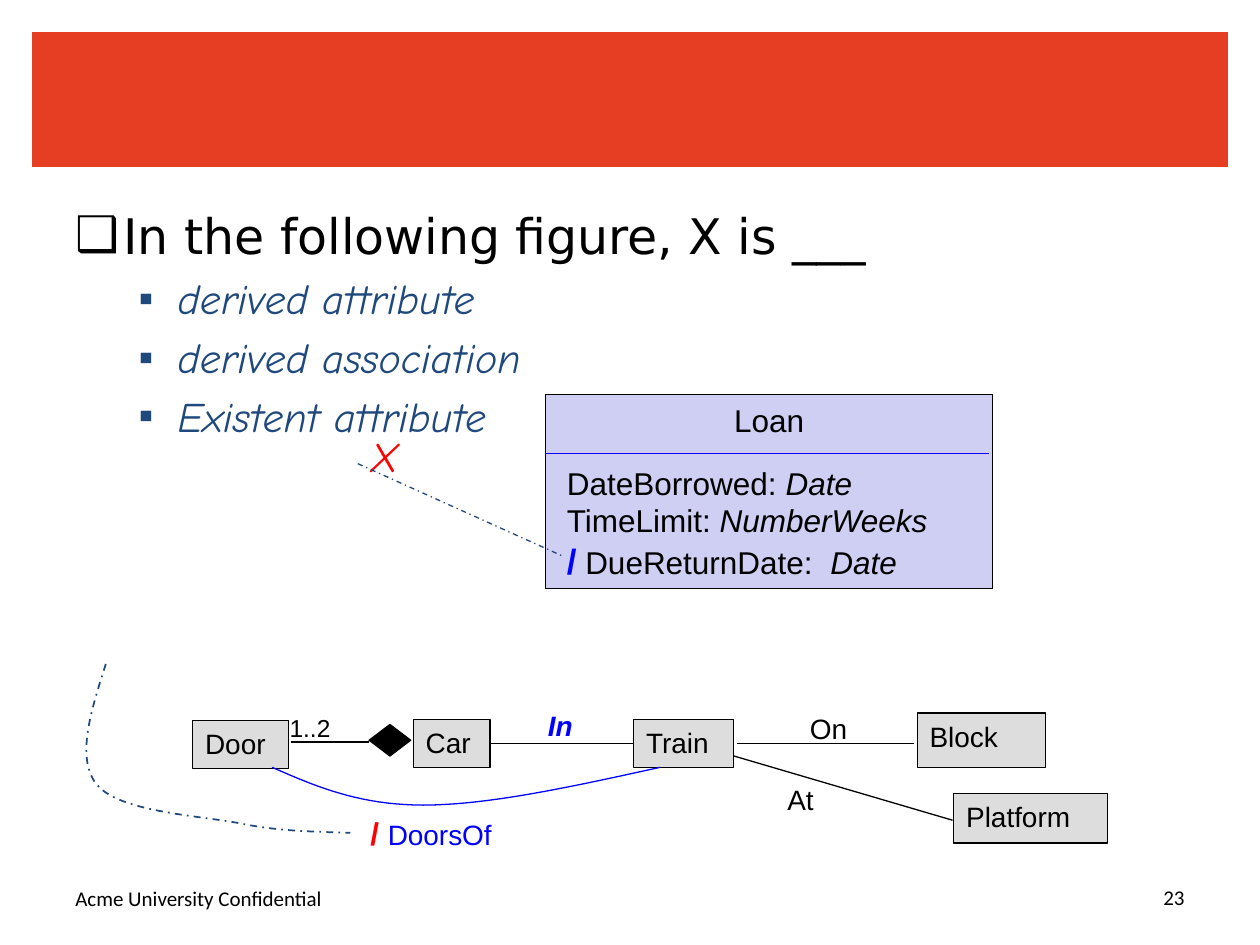
from lxml.etree import SubElement
from pptx import Presentation
from pptx.dml.color import RGBColor
from pptx.enum.dml import MSO_LINE
from pptx.enum.shapes import MSO_CONNECTOR, MSO_SHAPE
from pptx.enum.text import MSO_ANCHOR, PP_ALIGN
from pptx.oxml.ns import qn
from pptx.util import Inches, Pt

BLACK = RGBColor(0x00, 0x00, 0x00)
BLUE = RGBColor(0x00, 0x00, 0xFF)
RED = RGBColor(0xFF, 0x00, 0x00)
NAVY = RGBColor(0x1F, 0x49, 0x7D)
BANNER = RGBColor(0xE6, 0x3E, 0x22)
LILAC = RGBColor(0xCE, 0xCF, 0xF2)
GREY = RGBColor(0xDD, 0xDD, 0xDD)

PLAIN = {"name": "Arial", "size": Pt(16), "bold": False, "italic": False}
LOAN = {"size": Pt(18)}
LOAN_TYPE = {"size": Pt(18), "italic": True}
HAND = {"name": "Comic Neue", "size": Pt(24), "italic": True}
FOOT = {"name": "Calibri", "size": Pt(12)}


def add_run(p, text, color=BLACK, fmt=None):
    r = p.add_run()
    r.text = text
    for key, value in {**PLAIN, **(fmt or {})}.items():
        setattr(r.font, key, value)
    r.font.color.rgb = color


def add_text(s, box, paragraphs, align=PP_ALIGN.LEFT, anchor=MSO_ANCHOR.TOP):
    sp = s.shapes.add_textbox(*map(Inches, box))
    fill_text(sp.text_frame, paragraphs, align, anchor)


def fill_text(tf, paragraphs, align=PP_ALIGN.LEFT, anchor=MSO_ANCHOR.TOP):
    tf.word_wrap = True
    tf.vertical_anchor = anchor
    for i, runs in enumerate(paragraphs):
        p = tf.add_paragraph() if i else tf.paragraphs[0]
        p.alignment = align
        for run in runs:
            add_run(p, *run)


def add_box(s, box, fill, paragraphs=(), align=PP_ALIGN.LEFT, kind=MSO_SHAPE.RECTANGLE):
    sp = s.shapes.add_shape(kind, *map(Inches, box))
    sp.shadow.inherit = False
    sp.fill.solid()
    sp.fill.fore_color.rgb = fill
    style_line(sp.line, BLACK)
    fill_text(sp.text_frame, paragraphs, align)


def style_line(line, color, width=0.75, dash=None):
    line.color.rgb = color
    line.width = Pt(width)
    line.dash_style = dash


def add_line(s, start, end, color=BLACK, dash=None):
    cx = s.shapes.add_connector(MSO_CONNECTOR.STRAIGHT, *map(Inches, start + end))
    style_line(cx.line, color, dash=dash)
    SubElement(cx._element.spPr, qn("a:effectLst"))


def bezier(a, b, c, d, steps=20):
    for i in range(1, steps + 1):
        t = i / steps
        u = 1 - t
        yield tuple(Inches(u**3 * p + 3 * u * u * t * q + 3 * u * t * t * v + t**3 * w)
                    for p, q, v, w in zip(a, b, c, d))


def add_curve(s, points, color, width=0.75, dash=None):
    fb = s.shapes.build_freeform(*map(Inches, points[0]))
    for i in range(0, len(points) - 1, 3):
        fb.add_line_segments(list(bezier(*points[i:i + 4])), close=False)
    sp = fb.convert_to_shape()
    sp.shadow.inherit = False
    sp.fill.background()
    style_line(sp.line, color, width, dash)


def add_banner(s, box):
    table = s.shapes.add_table(1, 1, *map(Inches, box)).table
    table.first_row = table.horz_banding = False
    cell = table.cell(0, 0)
    cell.fill.solid()
    cell.fill.fore_color.rgb = BANNER


def add_footer(s, left, top, width):
    height, number_width = 0.4, 2.33
    add_text(s, (left, top + 0.01, width - number_width, height),
             [[("Acme University Confidential", BLACK, FOOT)]], anchor=MSO_ANCHOR.MIDDLE)
    add_text(s, (left + width - number_width, top, number_width, height),
             [[("23", BLACK, FOOT)]], PP_ALIGN.RIGHT, MSO_ANCHOR.MIDDLE)


def add_question(s, box):
    title, body = s.placeholders
    title._element.getparent().remove(title._element)
    body.left, body.top, body.width, body.height = map(Inches, box)
    head = {"name": "DejaVu Sans", "size": Pt(28)}
    rows = [("In the following figure, X is ___", 0, BLACK, head)]
    rows += [(text, 1, NAVY, HAND) for text in
             ("derived attribute", "derived association", "Existent attribute")]
    tf = body.text_frame
    for i, (text, level, color, fmt) in enumerate(rows):
        p = tf.add_paragraph() if i else tf.paragraphs[0]
        p.level = level
        add_run(p, text, color, fmt)
        margin, indent, bullet = ((0.38, -0.38, "❑"), (0.81, -0.31, "▪"))[level]
        pPr = p._p.get_or_add_pPr()
        pPr.set("marL", str(Inches(margin)))
        pPr.set("indent", str(Inches(indent)))
        SubElement(pPr, qn("a:buChar")).set("char", bullet)


def add_loan_class(s, x, y):
    add_box(s, (x, y, 3.55, 1.54), LILAC, [[("Loan", BLACK, LOAN)]], PP_ALIGN.CENTER)
    add_line(s, (x, y + 0.47), (x + 3.52, y + 0.47), BLUE)
    add_text(s, (x + 0.07, y + 0.5, 3.49, 0.77), [
        [("DateBorrowed: ", BLACK, LOAN), ("Date", BLACK, LOAN_TYPE)],
        [("TimeLimit: ", BLACK, LOAN), ("NumberWeeks", BLACK, LOAN_TYPE)],
        [("/", BLUE, {"size": Pt(20), "bold": True}),
         (" DueReturnDate: ", BLACK, LOAN), (" Date", BLACK, LOAN_TYPE)],
    ])
    add_text(s, (x - 2.59, y + 0.24, 1.51, 0.74), [[("X", RED, HAND)]], PP_ALIGN.RIGHT)
    add_line(s, (x - 1.49, y + 0.55), (x + 0.15, y + 1.29), NAVY, MSO_LINE.DASH_DOT)


def add_train_model(s, x, y):
    def at(dx, dy, *size):
        return (x + dx, y + dy, *size)

    for start, end in [((3.25, 0.63), (4.47, 0.63)), ((5.19, 0.72), (6.96, 1.24)),
                       ((5.25, 0.63), (6.65, 0.63)), ((1.71, 0.62), (2.33, 0.62))]:
        add_line(s, at(*start), at(*end))
    for name, box in [("Door", (0.93, 0.45, 0.76, 0.38)), ("Car", (2.68, 0.44, 0.61, 0.38)),
                      ("Train", (4.43, 0.44, 0.79, 0.38)), ("Block", (6.68, 0.39, 1.02, 0.43)),
                      ("Platform", (6.97, 1.03, 1.22, 0.39))]:
        add_box(s, at(*box), GREY, [[(name,)]])
    add_box(s, at(2.33, 0.48, 0.33, 0.25), BLACK, kind=MSO_SHAPE.FLOWCHART_DECISION)
    for box, runs in [
        ((5.55, 0.89, 0.68, 0.42), [("At",)]),
        ((5.73, 0.33, 0.65, 0.42), [("On",)]),
        ((3.65, 0.3, 0.65, 0.42), [("In", BLUE, {"bold": True, "italic": True})]),
        ((1.6, 0.34, 0.56, 0.35), [("1..2", BLACK, {"size": Pt(14)})]),
        ((2.24, 1.14, 1.29, 0.42), [("/ ", RED, {"size": Pt(18), "bold": True}),
                                    ("DoorsOf", BLUE)]),
    ]:
        add_text(s, at(*box), [runs])
    doors_of = [(1.56, 0.82), (1.9, 0.97), (2.25, 1.12), (2.76, 1.12),
                (3.28, 1.12), (3.96, 0.97), (4.64, 0.82)]
    pointer = [(0.24, 0), (0.12, 0.38), (0, 0.75), (0.17, 0.96), (0.35, 1.17),
               (0.94, 1.2), (1.28, 1.26), (1.61, 1.33), (1.89, 1.33), (2.18, 1.34)]
    add_curve(s, [at(*pt) for pt in doors_of], BLUE)
    add_curve(s, [at(*pt) for pt in pointer], NAVY, 1, MSO_LINE.DASH_DOT)


def main():
    prs = Presentation()
    prs.slide_width, prs.slide_height = Inches(10), Inches(7.5)
    s = prs.slides.add_slide(prs.slide_layouts[1])
    add_banner(s, (0.25, 0.25, 9.5, 1.08))
    add_footer(s, 0.5, 6.92, 9)
    add_question(s, (0.5, 1.58, 9, 5.12))
    add_loan_class(s, 4.33, 3.13)
    add_train_model(s, 0.6, 5.27)
    prs.save("out.pptx")


if __name__ == "__main__":
    main()
